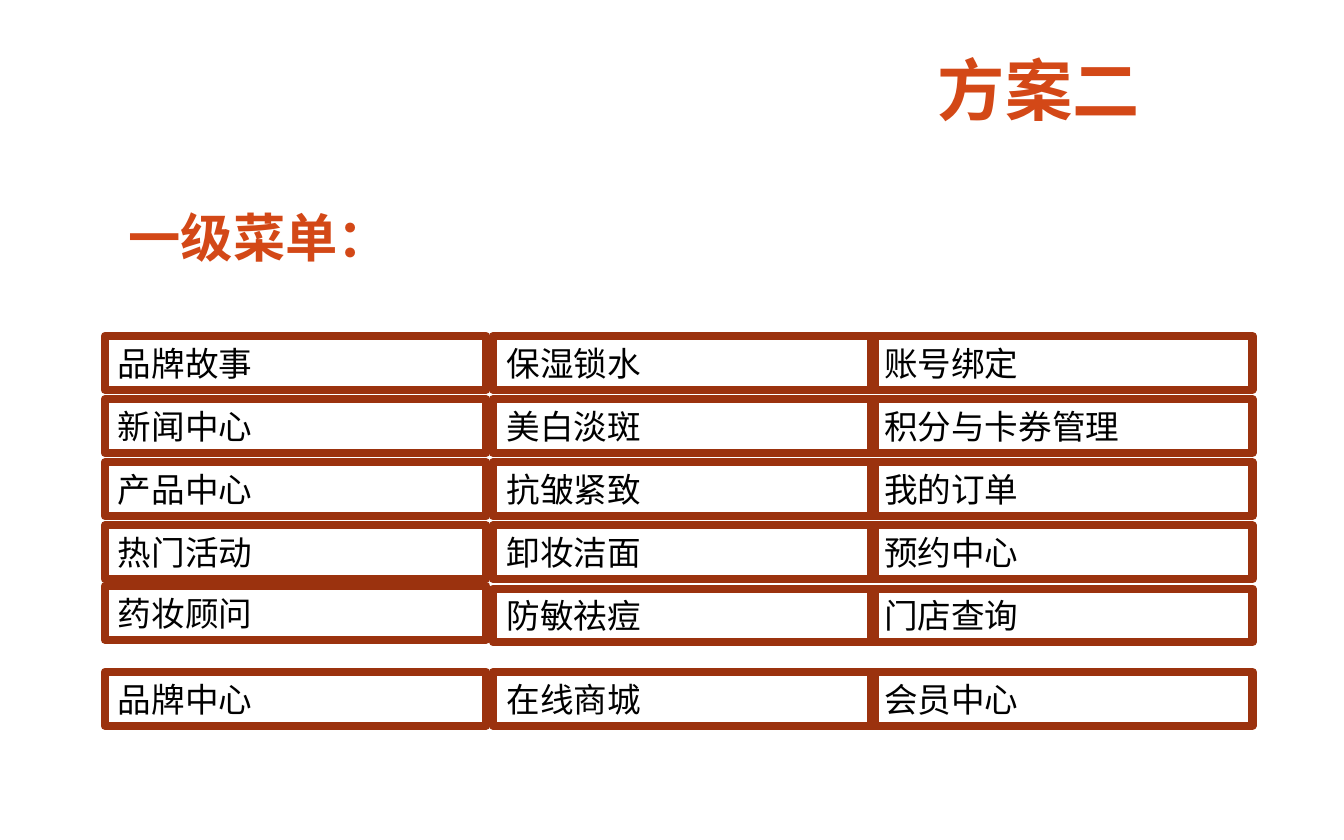
from lxml.etree import SubElement
from pptx import Presentation
from pptx.dml.color import RGBColor
from pptx.enum.lang import MSO_LANGUAGE_ID as LANG
from pptx.enum.shapes import MSO_SHAPE as SHAPE
from pptx.enum.text import MSO_AUTO_SIZE as AUTOSIZE
from pptx.oxml.ns import qn
from pptx.util import Inches, Pt

ORANGE, BROWN, BLACK = "D34817", "9B320E", "000000"
CJK = "Noto Sans CJK SC"


def rgb(color):
    return RGBColor.from_string(color)


def add_text(text, x, y, w, h, size=18, font="Calibri", color=BLACK, bold=False):
    tb = s.shapes.add_textbox(Inches(x), Inches(y), Inches(w), Inches(h))
    tf = tb.text_frame
    tf.word_wrap = True
    tf.auto_size = AUTOSIZE.SHAPE_TO_FIT_TEXT
    r = tf.paragraphs[0].add_run()
    r.text = text
    f = r.font
    f.size, f.name, f.bold = Pt(size), font, bold
    f.color.rgb = rgb(color)
    f.language_id = LANG.SIMPLIFIED_CHINESE
    # East Asian typeface for the Chinese characters
    SubElement(r.font._element, qn("a:ea")).set("typeface", font)


prs = Presentation()
prs.slide_width, prs.slide_height = Inches(10), Inches(6.25)
s = prs.slides.add_slide(prs.slide_layouts[6])

# Headings
add_text("方案二", 6.88, 0.31, 2.19, 0.7, size=36, font=CJK, color=ORANGE, bold=True)
add_text("一级菜单：", 0.86, 1.48, 2.5, 0.57, size=28, font=CJK, color=ORANGE, bold=True)

# Menu grid: submenu entries above, the main menu button last in each column
COLUMNS = [
    (0.78, ["品牌故事", "新闻中心", "产品中心", "热门活动", "药妆顾问", "品牌中心"]),
    (3.67, ["保湿锁水", "美白淡斑", "抗皱紧致", "卸妆洁面", "防敏祛痘", "在线商城"]),
    (6.48, ["账号绑定", "积分与卡券管理", "我的订单", "预约中心", "门店查询", "会员中心"]),
]
TOP, PITCH, MENU_Y = 2.5, 0.47, 5
BOX_W, TEXT_W, BOX_H = 2.84, 2.76, 0.4

for col, (x, labels) in enumerate(COLUMNS):
    ys = [TOP + PITCH * row for row in range(5)] + [MENU_Y]
    if col == 0:
        ys[4] -= 0.02  # the last entry of the first column sits slightly higher
    for y, label in zip(ys, labels):
        add_text(label, x, y, TEXT_W, BOX_H)
        sp = s.shapes.add_shape(SHAPE.RECTANGLE, Inches(x), Inches(y),
                                Inches(BOX_W), Inches(BOX_H))
        sp.shadow.inherit = False
        sp.fill.background()
        sp.line.color.rgb = rgb(BROWN)
        sp.line.width = Pt(4.34)

prs.save("out.pptx")
